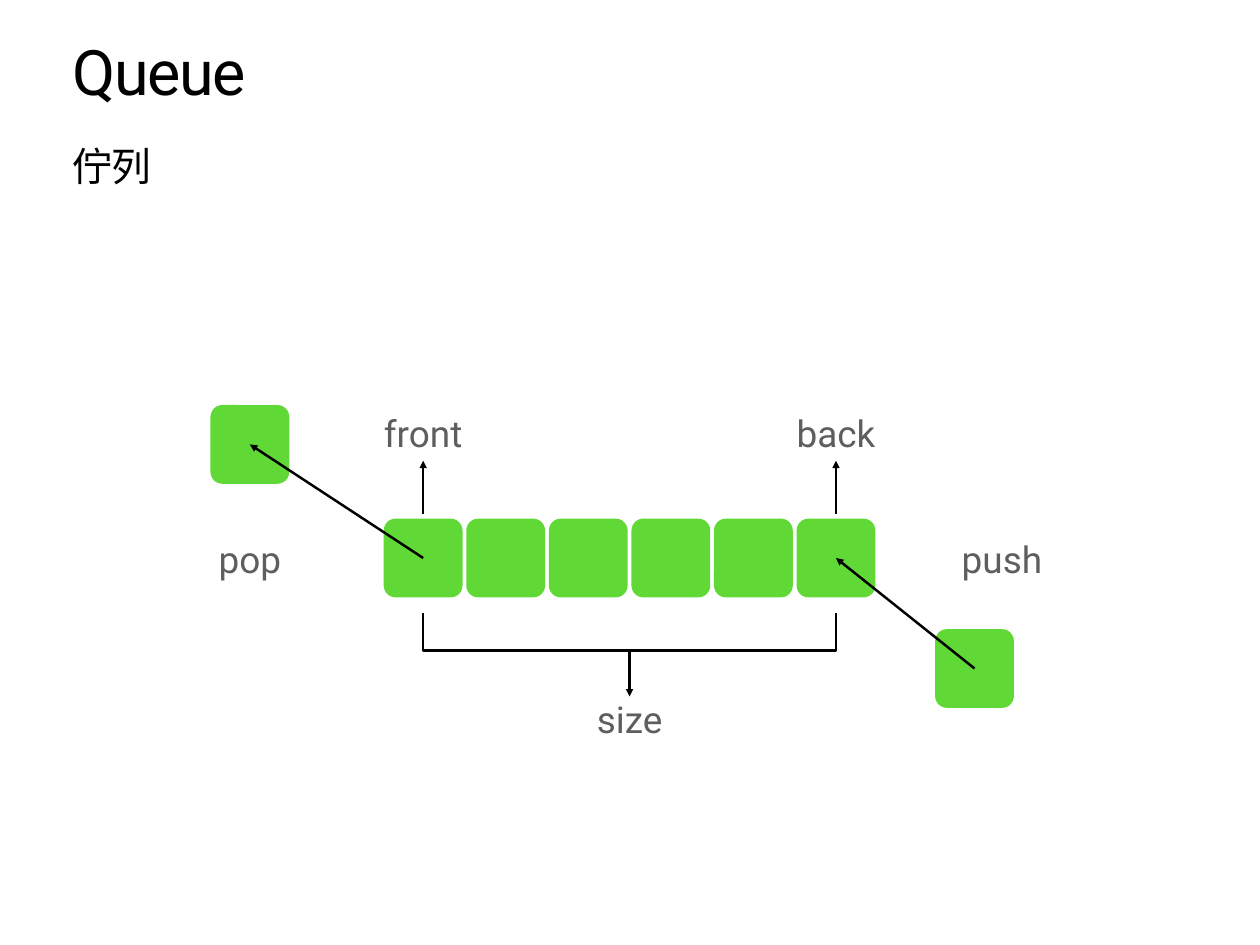
from dataclasses import dataclass

from lxml.etree import SubElement
from pptx import Presentation
from pptx.dml.color import RGBColor
from pptx.enum.shapes import MSO_CONNECTOR, MSO_SHAPE
from pptx.enum.text import MSO_ANCHOR, PP_ALIGN
from pptx.oxml.ns import qn
from pptx.util import Pt


@dataclass(frozen=True)
class Theme:
    font: str = "Roboto"
    cell: RGBColor = RGBColor(0x60, 0xD9, 0x37)
    ink: RGBColor = RGBColor(0, 0, 0)
    label: RGBColor = RGBColor(0x5E, 0x5E, 0x5E)
    title_size: float = 51
    subtitle_size: float = 32.3
    label_size: float = 30
    line_width: float = 2


THEME = Theme()
CELL = 64
PITCH = 67.1
CELL_COUNT = 6
LABEL_HEIGHT = 54
INSET = 4


def add_text(slide, text, left, top, width, height, size, color):
    sp = slide.shapes.add_textbox(Pt(left), Pt(top), Pt(width), Pt(height))
    tf = sp.text_frame
    tf.word_wrap = True
    tf.margin_left = tf.margin_right = Pt(INSET)
    tf.margin_top = tf.margin_bottom = Pt(INSET)
    tf.text = text
    p = tf.paragraphs[0]
    font = p.runs[0].font
    font.name = THEME.font
    font.size = Pt(size)
    font.color.rgb = color
    return tf


def add_title(slide, text):
    tf = add_text(slide, text, 54.7, 34.6, 913.7, 80,
                  THEME.title_size, THEME.ink)
    p = tf.paragraphs[0]
    p.line_spacing = 0.8
    p.runs[0].font._element.set("spc", "-100")


def add_label(slide, text, center_x, top, width):
    tf = add_text(slide, text, center_x - width / 2, top, width, LABEL_HEIGHT,
                  THEME.label_size, THEME.label)
    tf.vertical_anchor = MSO_ANCHOR.MIDDLE
    tf.paragraphs[0].alignment = PP_ALIGN.CENTER


def add_cell(slide, center_x, center_y):
    sp = slide.shapes.add_shape(
        MSO_SHAPE.ROUNDED_RECTANGLE,
        Pt(center_x - CELL / 2), Pt(center_y - CELL / 2), Pt(CELL), Pt(CELL))
    sp.adjustments[0] = 0.15
    sp.shadow.inherit = False
    sp.fill.solid()
    sp.fill.fore_color.rgb = THEME.cell
    sp.line.fill.background()


def style_line(line):
    line.color.rgb = THEME.ink
    line.width = Pt(THEME.line_width)


def add_arrow(slide, start, end):
    arrow = slide.shapes.add_connector(
        MSO_CONNECTOR.STRAIGHT, *(Pt(v) for v in (*start, *end)))
    style_line(arrow.line)
    ln = arrow.line._get_or_add_ln()
    SubElement(ln, qn("a:tailEnd"), type="triangle")
    SubElement(arrow._element.spPr, qn("a:effectLst"))


def add_bracket(slide, left, right, top, bottom):
    builder = slide.shapes.build_freeform(Pt(left), Pt(top))
    corners = [(left, bottom), (right, bottom), (right, top)]
    builder.add_line_segments([(Pt(x), Pt(y)) for x, y in corners],
                              close=False)
    sp = builder.convert_to_shape()
    sp.shadow.inherit = False
    sp.fill.background()
    style_line(sp.line)


def main():
    prs = Presentation()
    prs.slide_width, prs.slide_height = Pt(1024), Pt(768)
    slide = prs.slides.add_slide(prs.slide_layouts[6])

    add_title(slide, "Queue")
    add_text(slide, "佇列", 54.7, 111.6, 913.7, 52.6,
             THEME.subtitle_size, THEME.ink)

    front_x, queue_y = 343.9, 453.5
    back_x = front_x + (CELL_COUNT - 1) * PITCH
    middle_x = (front_x + back_x) / 2
    popped = (203.1, 361.2)
    pushed = (792, 543.3)

    for i in range(CELL_COUNT):
        add_cell(slide, front_x + i * PITCH, queue_y)
    for center in (popped, pushed):
        add_cell(slide, *center)

    bracket_bottom = 528.6
    add_bracket(slide, front_x, back_x, 498.5, bracket_bottom)

    arrows = [
        (pushed, (back_x, queue_y)),
        ((front_x, queue_y), popped),
        ((front_x, 417.4), (front_x, 374.4)),
        ((back_x, 417.4), (back_x, 374.4)),
        ((middle_x, bracket_bottom), (middle_x, 566)),
    ]
    for start, end in arrows:
        add_arrow(slide, start, end)

    labels = [
        ("pop", popped[0], 427, 64),
        ("push", 814.3, 427, 78),
        ("front", front_x, 324.3, 84),
        ("back", back_x, 324.3, 77),
        ("size", middle_x, 557.5, 63),
    ]
    for label in labels:
        add_label(slide, *label)

    prs.save("out.pptx")


main()
